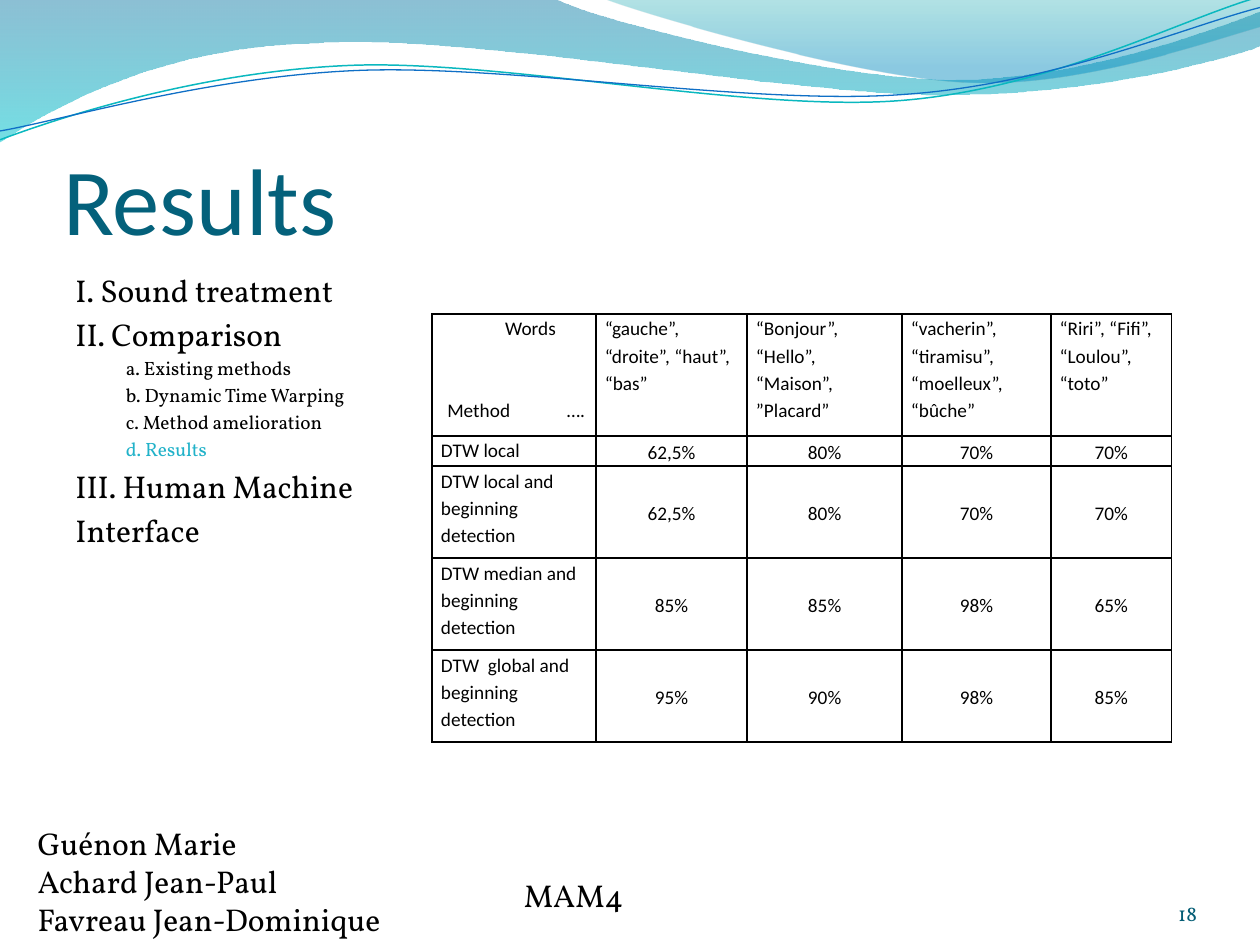
import math

from lxml import etree
from pptx import Presentation
from pptx import util as u
from pptx.dml import color
from pptx.enum import text as t
from pptx.oxml import ns

Inches, Pt = u.Inches, u.Pt
SERIF, SANS, BLACK = "Vollkorn", "Calibri", "000000"

# Content: outline as (level, text, colour)
OUTLINE = [
    (0, "I. Sound treatment", BLACK),
    (0, "II. Comparison", BLACK),
    (1, "a. Existing methods", BLACK),
    (1, "b. Dynamic Time Warping", BLACK),
    (1, "c. Method amelioration", BLACK),
    (1, "d. Results", "21B2C9"),
    (0, "III. Human Machine", BLACK),
    (0, "Interface", BLACK),
]
ROWS = [
    ["Words\nMethod\t….", "“gauche”, “droite”, “haut”, “bas”",
     "“Bonjour”, “Hello”, “Maison”, ”Placard”",
     "“vacherin”, “tiramisu”, “moelleux”, “bûche”",
     "“Riri”, “Fifi”, “Loulou”, “toto”"],
    ["DTW local", "62,5%", "80%", "70%", "70%"],
    ["DTW local and beginning detection", "62,5%", "80%", "70%", "70%"],
    ["DTW median and beginning detection", "85%", "85%", "98%", "65%"],
    ["DTW  global and beginning detection", "95%", "90%", "98%", "85%"],
]
WIDTHS = [1.3, 1.2, 1.23, 1.18, 0.96]
HEIGHTS = [0.97, 0.24, 0.73, 0.73, 0.73]
AUTHORS = "Guénon Marie\nAchard Jean-Paul\nFavreau Jean-Dominique"

# Waves: one point is a straight step, three a Bézier curve
# Bands: (path, gradient stops as (position, colour, opacity))
BANDS = [
    ([[(0, 0)], [(4.4, -0.01)], [(4.76, 0.17), (6.64, 0.63), (7.58, 0.63)],
      [(8.53, 0.63), (9.58, 0.26), (10, 0.09)], [(10.01, 0.36)],
      [(9.83, 0.44), (8.7, 0.76), (7.46, 0.75)],
      [(6.22, 0.75), (3.82, 0.28), (2.57, 0.34)],
      [(1.29, 0.36), (0.46, 0.83), (-0.01, 1.13)]],
     [(0, "0074A1", 45), (1, "00C6CF", 55)]),
    ([[(4.79, -0.01)], [(5.09, 0.11), (6.82, 0.62), (7.69, 0.65)],
      [(8.56, 0.69), (9.61, 0.32), (10, 0.21)], [(10, 0)]],
     [(0, "00A1A9", 30), (0.8, "008BBF", 45)]),
]
# Strokes: (path, colour, width), tilted about a common middle
STROKES = [
    ([[(0, 1.11)], [(0.48, 0.93), (1.58, 0.57), (2.77, 0.52)],
      [(3.95, 0.47), (5.93, 0.89), (7.13, 0.8)],
      [(8.33, 0.71), (9.38, 0.15), (9.98, -0.02)]], "0AB8BF", 0.85),
    ([[(0, 1.04)], [(0.47, 0.96), (1.64, 0.61), (2.83, 0.56)],
      [(4.03, 0.51), (5.97, 0.84), (7.17, 0.75)],
      [(8.36, 0.67), (9.41, 0.21), (10, 0.06)]], "0F6FC6", 0.75),
]
TILT, MID = -2.7, (5, 0.58)


def rgb(code):
    return color.RGBColor.from_string(code)


def style(para, size, face=SERIF, code=BLACK):
    for run in para.runs:
        run.font.size, run.font.name = Pt(size), face
        run.font.color.rgb = rgb(code)


def indent(para, left, first=0):
    props = para._p.get_or_add_pPr()
    props.set("marL", str(Inches(left)))
    props.set("indent", str(Inches(first)))
    return props


def level_out(point):
    """Turn a point back by the tilt, so the shape can carry it."""
    a = math.radians(-TILT)
    dx, dy = point[0] - MID[0], point[1] - MID[1]
    return (MID[0] + dx * math.cos(a) - dy * math.sin(a),
            MID[1] + dx * math.sin(a) + dy * math.cos(a))


def wave(slide, path, close):
    path = [[(Inches(x), Inches(y)) for x, y in step] for step in path]
    pen = slide.shapes.build_freeform(*path[0][0])
    pen.add_line_segments([step[-1] for step in path[1:]], close=close)
    shape = pen.convert_to_shape()
    shape.shadow.inherit = False
    # Bend the straight steps that have control points
    lines = list(shape._element.iter(ns.qn("a:lnTo")))
    for line, step in zip(lines, path[1:]):
        if len(step) == 3:
            curve = etree.Element(ns.qn("a:cubicBezTo"))
            for x, y in step:
                etree.SubElement(curve, ns.qn("a:pt"), x=str(x - shape.left),
                                 y=str(y - shape.top))
            line.getparent().replace(line, curve)
    return shape


def band(slide, path, stops):
    shape = wave(slide, path, True)
    shape.line.fill.background()
    shape.fill.gradient()
    shape.fill.gradient_angle = 270
    for stop, (pos, code, _) in zip(shape.fill.gradient_stops, stops):
        stop.position, stop.color.rgb = pos, rgb(code)
    tints = shape._element.spPr.iter(ns.qn("a:srgbClr"))
    for tint, (_, _, alpha) in zip(tints, stops):
        etree.SubElement(tint, ns.qn("a:alpha")).set("val", str(alpha * 1000))


def stroke(slide, path, code, width):
    flat = [[level_out(point) for point in step] for step in path]
    shape = wave(slide, flat, False)
    shape.rotation = TILT
    shape.fill.background()
    shape.line.color.rgb, shape.line.width = rgb(code), Pt(width)


def label(slide, words, box, size=18, code=BLACK):
    frame = slide.shapes.add_textbox(*map(Inches, box)).text_frame
    frame.word_wrap = True
    frame.text = words
    for para in frame.paragraphs:
        style(para, size, code=code)
    return frame


def border(cell):
    props = cell._tc.get_or_add_tcPr()
    for side in "LRTB":
        line = etree.SubElement(props, ns.qn("a:ln" + side), w=str(Pt(1)))
        fill = etree.SubElement(line, ns.qn("a:solidFill"))
        etree.SubElement(fill, ns.qn("a:srgbClr"), val=BLACK)


def grid(slide):
    frame = slide.shapes.add_table(len(ROWS), len(WIDTHS), Inches(3.43), Inches(2.49),
                                   Inches(sum(WIDTHS)), Inches(sum(HEIGHTS)))
    table = frame.table
    table.first_row = table.horz_banding = False
    for col, width in zip(table.columns, WIDTHS):
        col.width = Inches(width)
    for r, (row, high) in enumerate(zip(ROWS, HEIGHTS)):
        table.rows[r].height = Inches(high)
        for c, words in enumerate(row):
            cell = table.cell(r, c)
            border(cell)
            cell.fill.background()
            cell.margin_left = cell.margin_right = Inches(0.07)
            cell.margin_top = cell.margin_bottom = 0
            cell.text = words
            value = r > 0 and c > 0
            cell.vertical_anchor = t.MSO_ANCHOR.MIDDLE if value else t.MSO_ANCHOR.TOP
            for para in cell.text_frame.paragraphs:
                para.alignment = t.PP_ALIGN.CENTER if value else t.PP_ALIGN.LEFT
                para.line_spacing = 1.15
                style(para, 11, SANS)

    # Corner cell: column heading above, row heading below
    top, low = table.cell(0, 0).text_frame.paragraphs
    indent(top, 0.51)
    low.space_before = Pt(31)
    tabs = etree.SubElement(indent(low, 0, 0.05), ns.qn("a:tabLst"))
    etree.SubElement(tabs, ns.qn("a:tab"), pos=str(Inches(0.95)), algn="l")


def main():
    deck = Presentation()
    deck.slide_width, deck.slide_height = Inches(10), Inches(7.5)
    slide = deck.slides.add_slide(deck.slide_layouts[5])

    # Waves
    for item in BANDS:
        band(slide, *item)
    for item in STROKES:
        stroke(slide, *item)

    # Title
    title = slide.shapes.title
    title.left, title.top, title.width, title.height = map(Inches, (0.5, 0.77, 9, 1.25))
    frame = title.text_frame
    frame.text = "Results"
    frame.auto_size = t.MSO_AUTO_SIZE.NONE
    frame.vertical_anchor = t.MSO_ANCHOR.BOTTOM
    frame.margin_left = frame.margin_right = frame.margin_bottom = 0
    frame.paragraphs[0].alignment = t.PP_ALIGN.LEFT
    style(frame.paragraphs[0], 54, SANS, "04617B")

    # Outline
    lines = "\n".join(words for _, words, _ in OUTLINE)
    frame = label(slide, lines, (0.5, 2.1, 2.85, 4.49))
    for para, (level, _, code) in zip(frame.paragraphs, OUTLINE):
        size = 11 if level else 18
        para.level = level
        para.space_before = Pt(size * 0.2)
        indent(para, 0.62 + 0.4 * level, -0.62)
        style(para, size, code=code)

    grid(slide)

    # Footer
    frame = label(slide, "18", (8.67, 6.95, 0.83, 0.4), 12, "045D75")
    frame.margin_left = frame.margin_right = frame.margin_top = frame.margin_bottom = 0
    frame.vertical_anchor = t.MSO_ANCHOR.BOTTOM
    frame.paragraphs[0].alignment = t.PP_ALIGN.RIGHT
    label(slide, AUTHORS, (0.2, 6.49, 2.99, 1.01))
    label(slide, "MAM4", (4.06, 6.9, 1.1, 0.4))

    deck.save("out.pptx")


if __name__ == "__main__":
    main()
